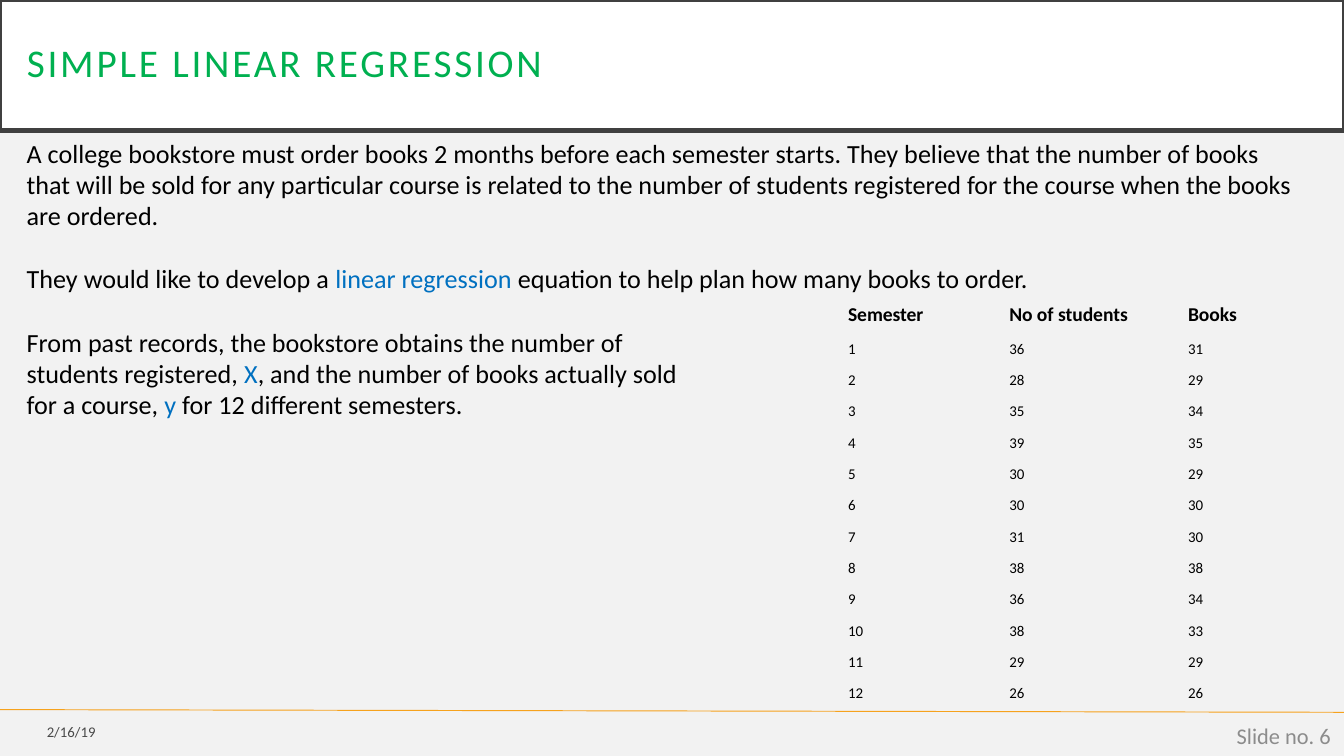
from dataclasses import dataclass

import pptx
import pptx.dml.color
import pptx.enum.shapes
import pptx.enum.text
import pptx.oxml.ns
import pptx.util
from lxml import etree

Inches, Pt = pptx.util.Inches, pptx.util.Pt
ALIGN = pptx.enum.text.PP_ALIGN
MIDDLE = pptx.enum.text.MSO_ANCHOR.MIDDLE
qn = pptx.oxml.ns.qn

COLORS = {
    "background": "F2F2F2", "white": "FFFFFF", "frame": "404040",
    "title": "00B050", "rule": "F6A21D", "black": "000000",
    "accent": "0070C0", "number": "8C8C8C",
}
NO_STYLE_NO_GRID = "{2D5ABB26-0587-4C30-8999-92F81FD0307C}"


@dataclass
class Run:
    text: str
    color: str = "black"


@dataclass
class Paragraph:
    runs: list[Run]
    space_before: float = 0


@dataclass
class Label:
    box: tuple[float, float, float, float]
    paragraphs: list[Paragraph]
    size: float
    align: ALIGN = ALIGN.LEFT
    centered: bool = True


def rgb(name: str) -> pptx.dml.color.RGBColor:
    return pptx.dml.color.RGBColor.from_string(COLORS[name])


def add_run(p, run: Run, size: float, bold: bool = False):
    r = p.add_run()
    r.text = run.text
    for name, value in {"name": "Calibri", "size": Pt(size), "bold": bold}.items():
        setattr(r.font, name, value)
    r.font.color.rgb = rgb(run.color)
    return r


def add_label(s, label: Label):
    sp = s.shapes.add_textbox(*map(Inches, label.box))
    tf = sp.text_frame
    tf.word_wrap = True
    if label.centered:
        tf.vertical_anchor = MIDDLE
    for i, paragraph in enumerate(label.paragraphs):
        p = tf.add_paragraph() if i else tf.paragraphs[0]
        p.alignment = label.align
        if paragraph.space_before:
            p.space_before = Pt(paragraph.space_before)
        for run in paragraph.runs:
            add_run(p, run, label.size)
    return sp


def add_title(s, text: str) -> None:
    sp = s.shapes.add_shape(pptx.enum.shapes.MSO_SHAPE.RECTANGLE,
                            0, 0, Inches(10), Inches(0.97))
    sp.shadow.inherit = False
    sp.fill.solid()
    sp.fill.fore_color.rgb = rgb("white")
    sp.line.color.rgb = rgb("frame")
    sp.line.width = Pt(2.5)
    tf = sp.text_frame
    for side in ("left", "top", "right", "bottom"):
        setattr(tf, f"margin_{side}", Inches(0.2))
    tf.word_wrap = True
    tf.vertical_anchor = MIDDLE
    p = tf.paragraphs[0]
    p.alignment = ALIGN.LEFT
    p.line_spacing = 0.9
    r = add_run(p, Run(text, "title"), 21)
    r.font._element.set("spc", "150")


def add_data_table(s, header: list[str], rows: list[tuple[int, int]]) -> None:
    height, header_height = 3.08, 0.28
    frame = s.shapes.add_table(len(rows) + 1, len(header), Inches(6.21), Inches(2.2),
                               Inches(3.6), Inches(height))
    table = frame.table
    table.first_row = table.horz_banding = False
    frame._element.find(".//" + qn("a:tableStyleId")).text = NO_STYLE_NO_GRID
    for column, width in zip(table.columns, (1.2, 1.33, 1.07)):
        column.width = Inches(width)
    records = [header] + [[i, *row] for i, row in enumerate(rows, 1)]
    for i, record in enumerate(records):
        table.rows[i].height = Inches(
            (height - header_height) / len(rows) if i else header_height)
        for j, value in enumerate(record):
            cell = table.cell(i, j)
            cell.fill.background()
            cell.margin_top = cell.margin_bottom = Inches(0.04)
            cell.vertical_anchor = MIDDLE
            add_run(cell.text_frame.paragraphs[0], Run(str(value)),
                    8 if i else 10.5, bold=i == 0)


# 16:9 slide
prs = pptx.Presentation()
prs.slide_width = Inches(10)
prs.slide_height = Inches(10 * 9 / 16)
s = prs.slides.add_slide(prs.slide_layouts[6])
s.background.fill.solid()
s.background.fill.fore_color.rgb = rgb("background")

# Footer rule
rule = s.shapes.add_connector(pptx.enum.shapes.MSO_CONNECTOR.STRAIGHT,
                              0, Inches(5.28), Inches(10), Inches(5.3))
rule.line.color.rgb = rgb("rule")
rule.line.width = Pt(0.5)
etree.SubElement(rule._element.spPr, qn("a:effectLst"))

add_title(s, "SIMPLE LINEAR REGRESSION")

# Footer: date in 70 % black, slide number
date = add_label(s, Label((0, 5.31, 0.81, 0.27), [Paragraph([Run("2/16/19")])],
                          7.9, ALIGN.RIGHT))
etree.SubElement(date._element.find(".//" + qn("a:srgbClr")), qn("a:alpha"), val="70000")
add_label(s, Label((7.75, 5.32, 2.25, 0.3), [Paragraph([Run("Slide no. 6", "number")])],
                   12, ALIGN.RIGHT))

# Problem statement
GAP = 17
add_label(s, Label((0.1, 0.97, 9.71, 2.46), [
    Paragraph([Run("A college bookstore must order books 2 months before each semester "
                   "starts. They believe that the number of books that will be sold for "
                   "any particular course is related to the number of students registered "
                   "for the course when the books are ordered.")]),
    Paragraph([Run("They would like to develop a "), Run("linear regression ", "accent"),
               Run("equation to help plan how many books to order.")], GAP),
    Paragraph([Run("From past records, the bookstore obtains the number of")], GAP),
    Paragraph([Run("students registered, "), Run("X", "accent"),
               Run(", and the number of books actually sold")]),
    Paragraph([Run("for a course, "), Run("y", "accent"),
               Run(" for 12 different semesters.")]),
], 14, centered=False))

# Students and books by semester
add_data_table(s, ["Semester", "No of students", "Books"], [
    (36, 31), (28, 29), (35, 34), (39, 35), (30, 29), (30, 30),
    (31, 30), (38, 38), (36, 34), (38, 33), (29, 29), (26, 26),
])

prs.save("out.pptx")
